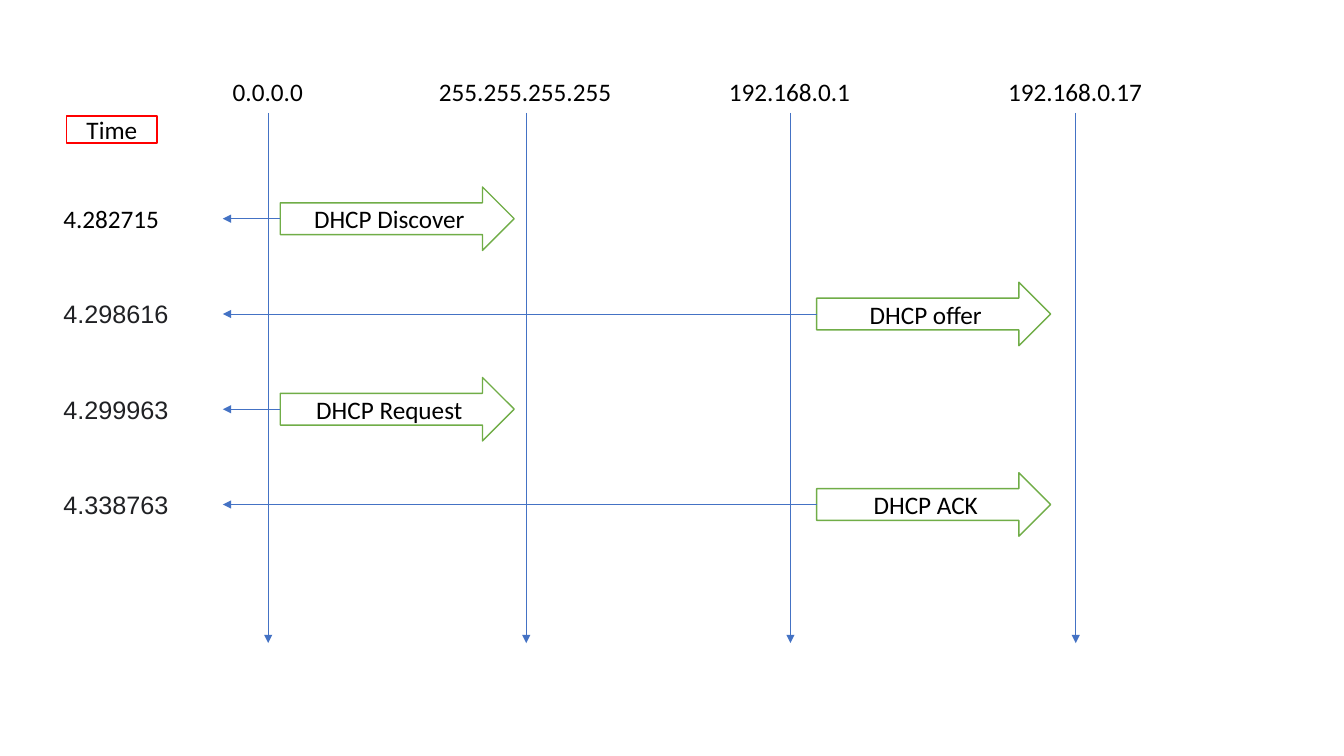
from dataclasses import dataclass

from lxml.etree import SubElement
from pptx import Presentation
from pptx.dml.color import RGBColor
from pptx.enum.shapes import MSO_CONNECTOR, MSO_SHAPE
from pptx.enum.text import MSO_ANCHOR, MSO_AUTO_SIZE, PP_ALIGN
from pptx.oxml.ns import qn
from pptx.util import Inches, Pt

COLORS = {
    "text": "000000",
    "time": "202124",
    "line": "4472C4",
    "message": "70AD47",
    "header": "FF0000",
    "fill": "FFFFFF",
}
LABEL_TOP, LABEL_H = 0.71, 0.4
LIFELINE_TOP, LIFELINE_BOTTOM = 1.12, 6.38
FIRST_ROW, ROW_PITCH = 2.17, 0.945
ARROW_W, ARROW_H = 2.32, 0.63
TIME_LEFT, TIME_LINE_END = 0.53, 2.21
CLIENT_LEFT, SERVER_LEFT = 2.78, 8.1


@dataclass
class Host:
    address: str
    x: float
    width: float


@dataclass
class Message:
    name: str
    time: str
    left: float
    time_width: float = 1.25
    time_font: str = "Arial"
    time_color: str = "time"


HOSTS = [
    Host("0.0.0.0", 2.66, 0.9),
    Host("255.255.255.255", 5.22, 1.93),
    Host("192.168.0.1", 7.84, 1.42),
    Host("192.168.0.17", 10.67, 1.54),
]
MESSAGES = [
    Message("DHCP Discover", "4.282715", CLIENT_LEFT, 1.16, "Calibri", "text"),
    Message("DHCP offer", "4.298616", SERVER_LEFT),
    Message("DHCP Request", "4.299963", CLIENT_LEFT),
    Message("DHCP ACK", "4.338763", SERVER_LEFT),
]

prs = Presentation()
prs.slide_width, prs.slide_height = Inches(13.33), Inches(7.5)
s = prs.slides.add_slide(prs.slide_layouts[6])


def rgb(name: str) -> RGBColor:
    return RGBColor.from_string(COLORS[name])


def write(sp, text: str, *, font: str = "Calibri", color: str = "text",
          align: PP_ALIGN = PP_ALIGN.LEFT, anchor: MSO_ANCHOR = MSO_ANCHOR.TOP,
          wrap: bool = False) -> None:
    tf = sp.text_frame
    tf.word_wrap = wrap
    tf.auto_size = MSO_AUTO_SIZE.NONE if wrap else MSO_AUTO_SIZE.SHAPE_TO_FIT_TEXT
    tf.vertical_anchor = anchor
    p = tf.paragraphs[0]
    p.alignment = align
    r = p.add_run()
    r.text = text
    r.font.name, r.font.size = font, Pt(18)
    r.font.color.rgb = rgb(color)


def add_label(text: str, left: float, top: float, width: float, **style) -> None:
    sp = s.shapes.add_textbox(Inches(left), Inches(top), Inches(width), Inches(LABEL_H))
    write(sp, text, **style)


def add_block(kind: MSO_SHAPE, text: str, left: float, top: float,
              width: float, height: float, outline: str) -> None:
    sp = s.shapes.add_shape(kind, Inches(left), Inches(top), Inches(width), Inches(height))
    sp.shadow.inherit = False
    sp.fill.solid()
    sp.fill.fore_color.rgb = rgb("fill")
    sp.line.color.rgb = rgb(outline)
    sp.line.width = Pt(1)
    write(sp, text, align=PP_ALIGN.CENTER, anchor=MSO_ANCHOR.MIDDLE, wrap=True)


def add_arrow_line(x1: float, y1: float, x2: float, y2: float) -> None:
    cxn = s.shapes.add_connector(MSO_CONNECTOR.STRAIGHT, Inches(x1), Inches(y1),
                                 Inches(x2), Inches(y2))
    cxn.line.color.rgb = rgb("line")
    cxn.line.width = Pt(0.5)
    SubElement(cxn.line._get_or_add_ln(), qn("a:tailEnd"), type="triangle")
    SubElement(cxn._element.spPr, qn("a:effectLst"))


def add_host(host: Host) -> None:
    add_label(host.address, host.x - host.width / 2, LABEL_TOP, host.width)
    add_arrow_line(host.x, LIFELINE_TOP, host.x, LIFELINE_BOTTOM)


def add_message(msg: Message, y: float) -> None:
    add_block(MSO_SHAPE.RIGHT_ARROW, msg.name, msg.left, y - ARROW_H / 2,
              ARROW_W, ARROW_H, "message")
    add_arrow_line(msg.left, y, TIME_LINE_END, y)
    add_label(msg.time, TIME_LEFT, y - LABEL_H / 2, msg.time_width,
              font=msg.time_font, color=msg.time_color)


for row, msg in enumerate(MESSAGES):
    add_message(msg, FIRST_ROW + row * ROW_PITCH)
for host in HOSTS:
    add_host(host)
add_block(MSO_SHAPE.RECTANGLE, "Time", 0.66, 1.15, 0.9, 0.27, "header")

prs.save("out.pptx")
